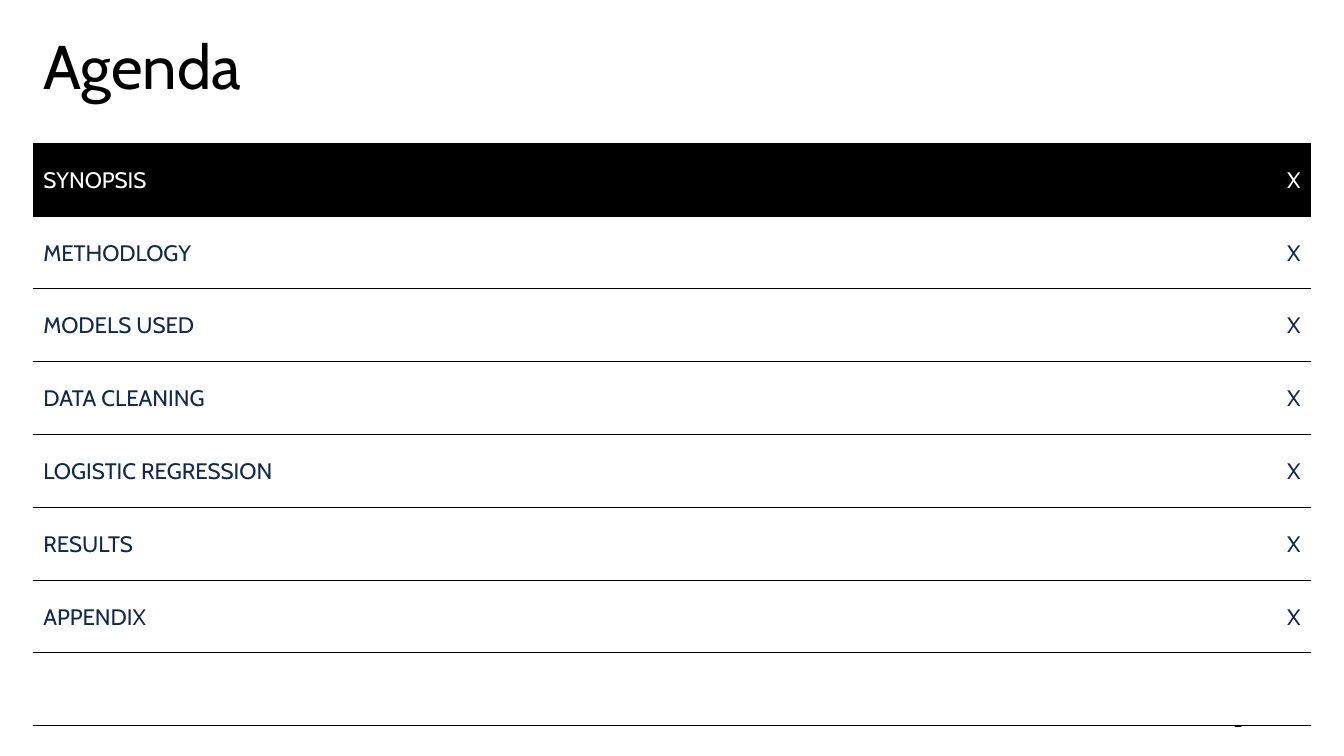
from lxml import etree
from pptx import Presentation
from pptx.dml.color import RGBColor
from pptx.enum.text import MSO_ANCHOR, PP_ALIGN
from pptx.oxml.ns import qn
from pptx.util import Pt

LEFT, RIGHT = PP_ALIGN.LEFT, PP_ALIGN.RIGHT
MIDDLE = MSO_ANCHOR.MIDDLE
BLACK = RGBColor(0, 0, 0)
WHITE = RGBColor(255, 255, 255)
NAVY = RGBColor(0x13, 0x29, 0x4B)
FONT = "Cabin"
SCALE = 9144  # EMU in one px, 100 px to the inch
PLAIN = "{2D5ABB26-0587-4C30-8999-92F81FD0307C}"  # table style without grid
TOPICS = ["SYNOPSIS", "METHODLOGY", "MODELS USED", "DATA CLEANING",
          "LOGISTIC REGRESSION", "RESULTS", "APPENDIX"]


def px(n):
    return n * SCALE


def write(para, text, size, color, align=LEFT, space=1.0):
    para.alignment = align
    para.line_spacing = space
    run = para.add_run()
    run.text = text
    run.font.name = FONT
    run.font.size = Pt(size)
    run.font.color.rgb = color


def add_text(slide, box, text, size, insets, align=LEFT, space=1.0):
    """Add a black one-line text box; insets are top and bottom in px."""
    frame = slide.shapes.add_textbox(*map(px, box)).text_frame
    frame.word_wrap = True
    frame.vertical_anchor = MIDDLE
    frame.margin_top, frame.margin_bottom = map(px, insets)
    frame.margin_left = frame.margin_right = px(10)
    write(frame.paragraphs[0], text, size, BLACK, align, space)


def rule(cell, sides):
    """Draw thin black borders, which come before the fill in the cell's XML."""
    props = cell._tc.get_or_add_tcPr()
    for i, side in enumerate(sides):
        line = etree.Element(qn(f"a:ln{side}"), w=str(Pt(0.75)))
        fill = etree.SubElement(line, qn("a:solidFill"))
        etree.SubElement(fill, qn("a:srgbClr"), val=str(BLACK))
        props.insert(i, line)


def add_agenda(slide, box):
    count = len(TOPICS) + 1  # the last row stays empty
    table = slide.shapes.add_table(count, 2, *map(px, box)).table
    table.first_row = table.horz_banding = False
    table._tbl.tblPr.find(qn("a:tableStyleId")).text = PLAIN
    for r, row in enumerate(table.rows):
        row.height = px(box[3]) // count
        head = r == 0
        for c, cell in enumerate(row.cells):
            cell.fill.solid()
            cell.fill.fore_color.rgb = BLACK if head else WHITE
            rule(cell, "TB" if head else "B")
            if r < len(TOPICS):
                cell.vertical_anchor = MIDDLE
                cell.margin_left = cell.margin_right = px(10)
                cell.margin_top = cell.margin_bottom = px(15)
                write(cell.text_frame.paragraphs[0], "X" if c else TOPICS[r],
                      16, WHITE if head else NAVY, RIGHT if c else LEFT, 1.06)


def main():
    prs = Presentation()
    prs.slide_width, prs.slide_height = px(1333), px(750)
    slide = prs.slides.add_slide(prs.slide_layouts[6])
    add_text(slide, (942, 695, 300, 40), "2", 12, (5, 5), RIGHT)
    add_text(slide, (33, 31, 1267, 80), "Agenda", 44, (0, 5), space=0.9)
    add_agenda(slide, (33, 142, 1267, 578))
    prs.save("out.pptx")


if __name__ == "__main__":
    main()
